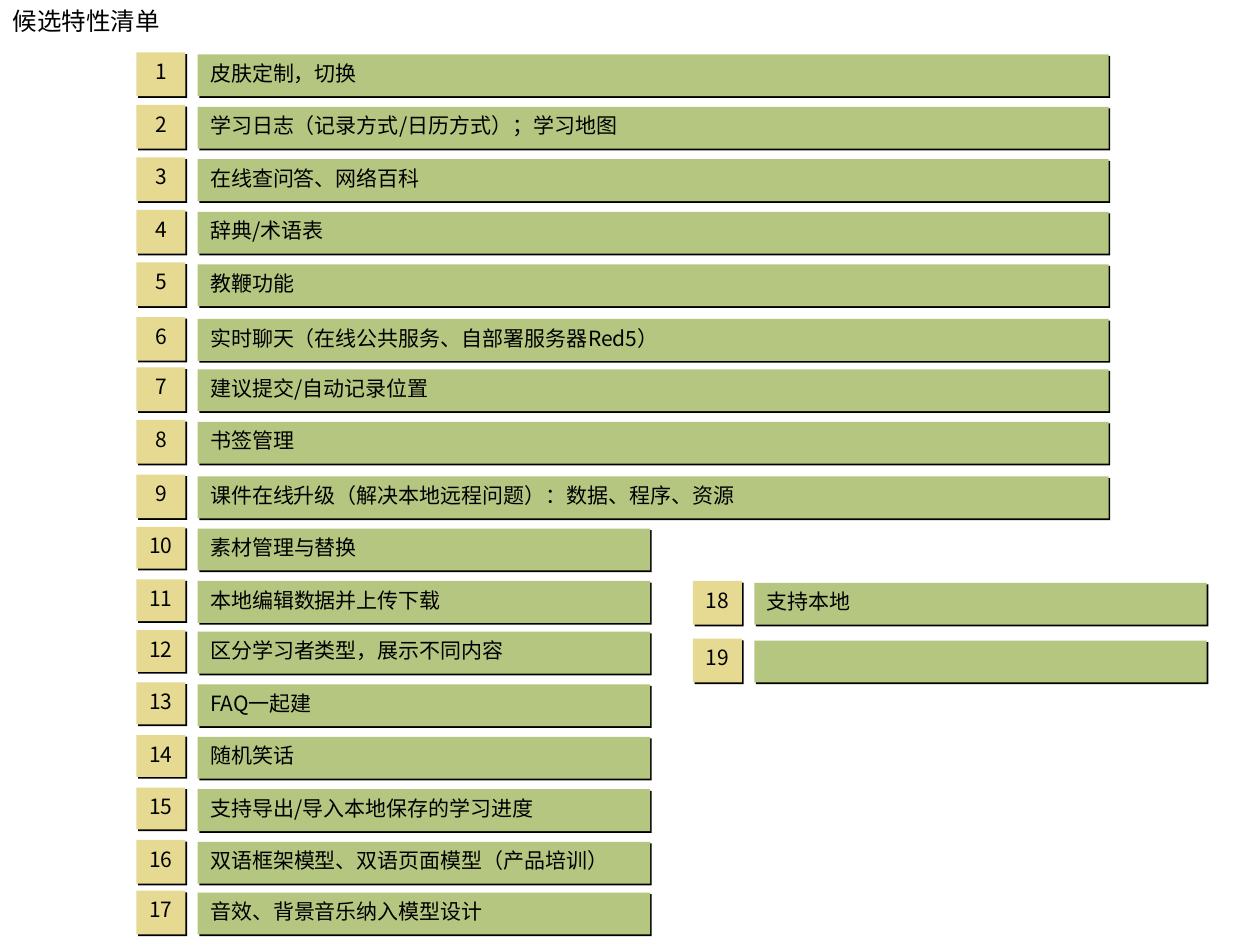
from lxml.etree import SubElement
from pptx import Presentation
from pptx.dml.color import RGBColor
from pptx.enum.shapes import MSO_SHAPE
from pptx.enum.text import MSO_ANCHOR, MSO_AUTO_SIZE, PP_ALIGN
from pptx.oxml.ns import qn
from pptx.util import Pt

SAND = RGBColor(0xE6, 0xDA, 0x92)
GREEN = RGBColor(0xB5, 0xC6, 0x80)
BLACK = RGBColor(0, 0, 0)
TITLE_FONT = "Arial"
NUMBER_FONT = "Noto Sans CJK KR"
FEATURE_FONT = "Noto Sans CJK SC"

# Row grid, in points
TOP, PITCH = 30, 30
MAIN_LEFT, SIDE_LEFT = 78, 396
TAG_WIDTH, TAG_HEIGHT = 28, 25
BAR_OFFSET, BAR_HEIGHT = 35, 24
WIDE, NARROW = 520.5, 258.5
NUDGES = {6: 1.2, 9: 1.2, 10: 1, 11: 1, 17: -1}  # rows slightly off the grid

WIDE_FEATURES = [
    "皮肤定制，切换",
    "学习日志（记录方式/日历方式）；学习地图",
    "在线查问答、网络百科",
    "辞典/术语表",
    "教鞭功能",
    "实时聊天（在线公共服务、自部署服务器Red5）",
    "建议提交/自动记录位置",
    "书签管理",
    "课件在线升级（解决本地远程问题）：数据、程序、资源",
]
NARROW_FEATURES = [
    "素材管理与替换",
    "本地编辑数据并上传下载",
    "区分学习者类型，展示不同内容",
    "FAQ一起建",
    "随机笑话",
    "支持导出/导入本地保存的学习进度",
    "双语框架模型、双语页面模型（产品培训）",
    "音效、背景音乐纳入模型设计",
]
SIDE_FEATURES = [(18, 332, "支持本地"), (19, 365, "")]


def add_run(p, text, font, size):
    r = p.add_run()
    r.text = text
    r.font.name = font
    r.font.size = Pt(size)
    r.font.color.rgb = BLACK
    SubElement(r.font._element, qn("a:ea"), typeface=font)


def add_shadow(sp):
    """Give the shape a hard black shadow towards the lower right."""
    effects = SubElement(sp._element.spPr, qn("a:effectLst"))
    shadow = SubElement(effects, qn("a:outerShdw"), blurRad="0",
                        dist=str(Pt(1.4)), dir="2700000", algn="tl", rotWithShape="0")
    SubElement(shadow, qn("a:srgbClr"), val=str(BLACK))


def add_box(slide, left, top, width, height, fill, text, font, align, wrap):
    sp = slide.shapes.add_shape(MSO_SHAPE.RECTANGLE, Pt(left), Pt(top), Pt(width), Pt(height))
    sp.fill.solid()
    sp.fill.fore_color.rgb = fill
    sp.line.fill.background()
    add_shadow(sp)
    tf = sp.text_frame
    tf.word_wrap = wrap
    tf.vertical_anchor = MSO_ANCHOR.TOP
    p = tf.paragraphs[0]
    p.alignment = align
    if text:
        add_run(p, text, font, 12)


def add_feature(slide, number, left, top, bar_width, text):
    """Add a number tag with its feature bar."""
    tag_height = TAG_HEIGHT - 1 if 10 <= number <= 15 else TAG_HEIGHT
    add_box(slide, left, top, TAG_WIDTH, tag_height, SAND,
            str(number), NUMBER_FONT, PP_ALIGN.CENTER, False)
    add_box(slide, left + BAR_OFFSET, top + 1, bar_width, BAR_HEIGHT, GREEN,
            text, FEATURE_FONT, PP_ALIGN.LEFT, True)


def add_title(slide, text):
    title = slide.shapes.title
    title.left, title.top, title.width, title.height = Pt(0), Pt(0), Pt(648), Pt(24)
    tf = title.text_frame
    tf.auto_size = MSO_AUTO_SIZE.NONE
    tf.vertical_anchor = MSO_ANCHOR.MIDDLE
    p = tf.paragraphs[0]
    p.alignment = PP_ALIGN.LEFT
    add_run(p, text, TITLE_FONT, 14)


def main():
    prs = Presentation()
    prs.slide_width, prs.slide_height = Pt(720), Pt(540)
    slide = prs.slides.add_slide(prs.slide_layouts[5])
    add_title(slide, "候选特性清单")

    # Main column: wide bars first, then narrow ones
    for number, text in enumerate(WIDE_FEATURES + NARROW_FEATURES, 1):
        top = TOP + (number - 1) * PITCH + NUDGES.get(number, 0)
        width = WIDE if number <= len(WIDE_FEATURES) else NARROW
        add_feature(slide, number, MAIN_LEFT, top, width, text)

    # Side column
    for number, top, text in SIDE_FEATURES:
        add_feature(slide, number, SIDE_LEFT, top, NARROW, text)

    prs.save("out.pptx")


if __name__ == "__main__":
    main()
